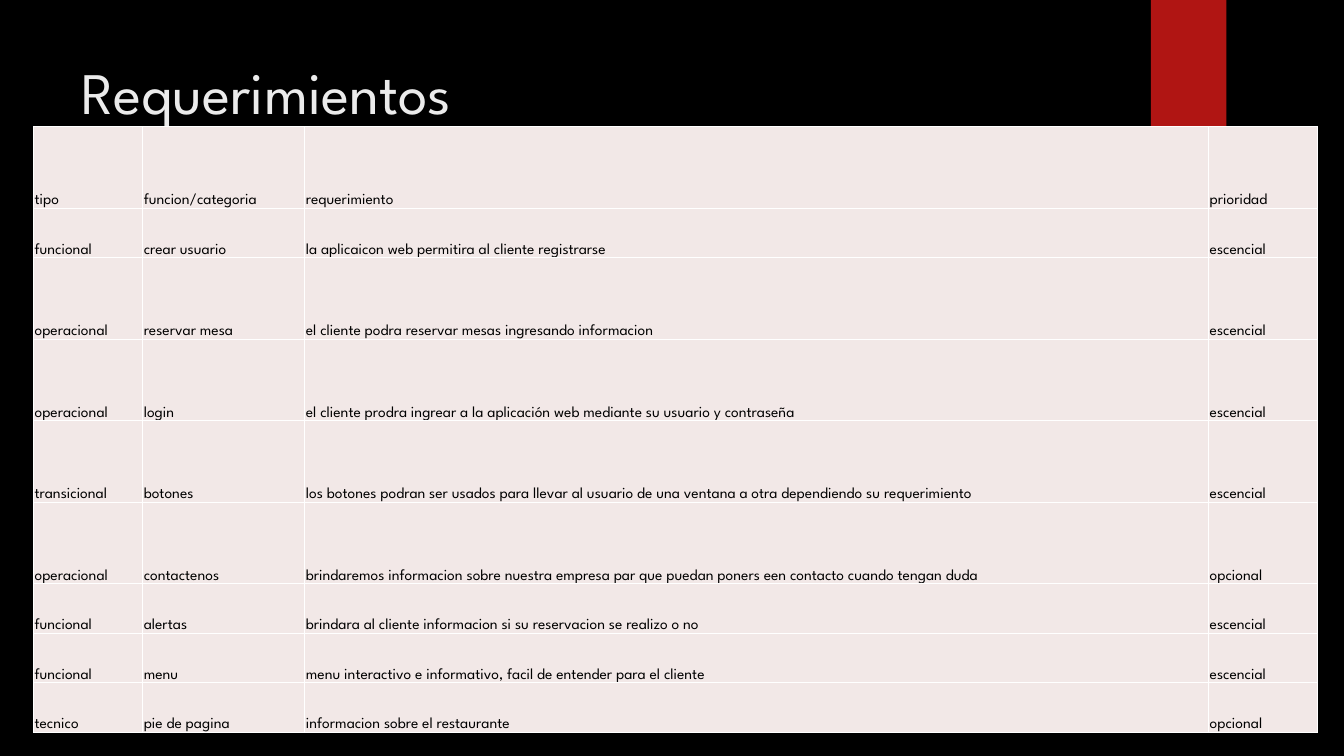
import dataclasses

import pptx
import pptx.dml.color
import pptx.enum.shapes
import pptx.enum.text
import pptx.oxml
import pptx.oxml.ns
import pptx.util

GRID_UNIT = pptx.util.Inches(1 / 12)
GRID_COLUMNS, GRID_ROWS = 160, 90
COLUMN_WIDTHS = (13, 19.3, 107.6, 13)
TALL_ROW, SHORT_ROW = 9.7, 5.9
REQUIREMENTS = (
    (TALL_ROW, "tipo", "funcion/categoria", "requerimiento", "prioridad"),
    (SHORT_ROW, "funcional", "crear usuario",
     "la aplicaicon web permitira al cliente registrarse", "escencial"),
    (TALL_ROW, "operacional", "reservar mesa",
     "el cliente podra reservar mesas ingresando informacion", "escencial"),
    (TALL_ROW, "operacional", "login",
     "el cliente prodra ingrear a la aplicación web mediante su usuario y contraseña",
     "escencial"),
    (TALL_ROW, "transicional", "botones",
     "los botones podran ser usados para llevar al usuario de una ventana a otra "
     "dependiendo su requerimiento", "escencial"),
    (TALL_ROW, "operacional", "contactenos",
     "brindaremos informacion sobre nuestra empresa par que puedan poners een contacto "
     "cuando tengan duda", "opcional"),
    (SHORT_ROW, "funcional", "alertas",
     "brindara al cliente informacion si su reservacion se realizo o no", "escencial"),
    (SHORT_ROW, "funcional", "menu",
     "menu interactivo e informativo, facil de entender para el cliente", "escencial"),
    (SHORT_ROW, "tecnico", "pie de pagina", "informacion sobre el restaurante", "opcional"),
)


@dataclasses.dataclass(frozen=True)
class Theme:
    """Colours, font and type sizes of the slide."""
    background: str = "000000"
    accent: str = "B01513"
    title: str = "EBEBEB"
    cell: str = "F2E8E7"
    cell_text: str = "000000"
    border: str = "FFFFFF"
    font: str = "League Spartan"
    title_size: int = 42
    cell_size: int = 11


THEME = Theme()


def grid(count):
    """Turn a count of grid units into a length."""
    return pptx.util.Emu(round(count * GRID_UNIT))


def paint(fill, colour):
    """Give a fill one solid colour."""
    fill.solid()
    fill.fore_color.rgb = pptx.dml.color.RGBColor.from_string(colour)


def write(text_frame, text, size, colour):
    """Write one paragraph in the theme font."""
    paragraph = text_frame.paragraphs[0]
    paragraph.text = text
    paragraph.font.name = THEME.font
    paragraph.font.size = pptx.util.Pt(size)
    paragraph.font.color.rgb = pptx.dml.color.RGBColor.from_string(colour)


def add_ribbon(slide, left, top, width, height):
    """Add the red ribbon that hangs from the top edge."""
    ribbon = slide.shapes.add_shape(
        pptx.enum.shapes.MSO_SHAPE.RECTANGLE,
        grid(left), grid(top), grid(width), grid(height))
    ribbon.shadow.inherit = False
    paint(ribbon.fill, THEME.accent)
    ribbon.line.fill.background()


def add_title(slide, text, left, top, width, height):
    """Add the slide's heading."""
    box = slide.shapes.add_textbox(grid(left), grid(top), grid(width), grid(height))
    box.text_frame.word_wrap = True
    box.text_frame.vertical_anchor = pptx.enum.text.MSO_ANCHOR.TOP
    write(box.text_frame, text, THEME.title_size, THEME.title)


def add_borders(cell):
    """Draw a thin line on the four sides of a cell."""
    properties = cell._tc.get_or_add_tcPr()
    for position, side in enumerate(("lnL", "lnR", "lnT", "lnB")):
        properties.insert(position, pptx.oxml.parse_xml(
            f'<a:{side} {pptx.oxml.ns.nsdecls("a")} w="{pptx.util.Pt(1)}"><a:solidFill>'
            f'<a:srgbClr val="{THEME.border}"/></a:solidFill></a:{side}>'))


def fill_cell(cell, text):
    """Style a table cell and write its text at the bottom."""
    margin = pptx.util.Inches(0.01)
    cell.margin_left = cell.margin_right = cell.margin_top = margin
    cell.margin_bottom = 0
    cell.vertical_anchor = pptx.enum.text.MSO_ANCHOR.BOTTOM
    paint(cell.fill, THEME.cell)
    add_borders(cell)
    write(cell.text_frame, text, THEME.cell_size, THEME.cell_text)


def add_requirements(slide, left, top):
    """Add the table of requirements."""
    heights = [height for height, *_ in REQUIREMENTS]
    table = slide.shapes.add_table(
        len(heights), len(COLUMN_WIDTHS), grid(left), grid(top),
        grid(sum(COLUMN_WIDTHS)), grid(sum(heights))).table
    for column, width in zip(table.columns, COLUMN_WIDTHS):
        column.width = grid(width)
    for row, (height, *texts) in zip(table.rows, REQUIREMENTS):
        row.height = grid(height)
        for cell, text in zip(row.cells, texts):
            fill_cell(cell, text)


def main():
    """Build the slide and save it."""
    presentation = pptx.Presentation()
    presentation.slide_width = grid(GRID_COLUMNS)
    presentation.slide_height = grid(GRID_ROWS)
    slide = presentation.slides.add_slide(presentation.slide_layouts[6])
    paint(slide.background.fill, THEME.background)
    add_ribbon(slide, left=137, top=0, width=9, height=15)
    add_title(slide, "Requerimientos", left=8.5, top=6, width=123.5, height=18.4)
    add_requirements(slide, left=4, top=15.1)
    presentation.save("out.pptx")


if __name__ == "__main__":
    main()
